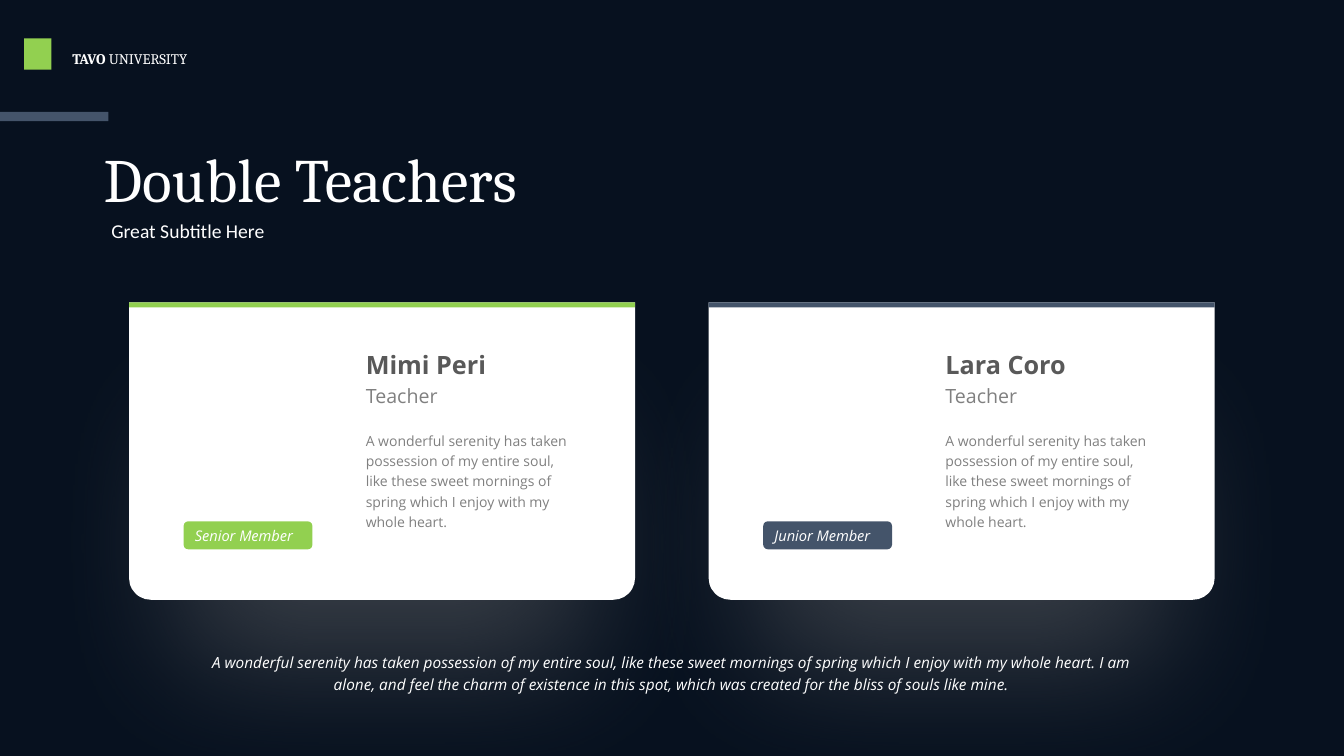
import dataclasses

import lxml.etree
import pptx
import pptx.dml.color
import pptx.enum.shapes
import pptx.enum.text
import pptx.oxml.ns
import pptx.util

Pt = pptx.util.Pt
RGBColor = pptx.dml.color.RGBColor
Shape = pptx.enum.shapes.MSO_SHAPE
Anchor = pptx.enum.text.MSO_ANCHOR
Align = pptx.enum.text.PP_ALIGN
AutoSize = pptx.enum.text.MSO_AUTO_SIZE
qn = pptx.oxml.ns.qn

NAVY = RGBColor(0x07, 0x11, 0x1F)
WHITE = RGBColor(0xFF, 0xFF, 0xFF)
GREEN = RGBColor(0x92, 0xD0, 0x50)
SLATE = RGBColor(0x44, 0x54, 0x6A)
DARK_GRAY = RGBColor(0x59, 0x59, 0x59)
GRAY = RGBColor(0x80, 0x80, 0x80)

SERIF, SANS, SUBTITLE_FONT = "Cambria", "Open Sans", "Calibri"
QUOTE = (
    "A wonderful serenity has taken possession of my entire soul, like these "
    "sweet mornings of spring which I enjoy with my whole heart."
)
QUOTE_END = (
    " I am alone, and feel the charm of existence in this spot, "
    "which was created for the bliss of souls like mine."
)


@dataclasses.dataclass(frozen=True)
class Area:
    """Place and size in points."""

    left: float
    top: float
    width: float
    height: float

    def lengths(self) -> tuple:
        """Return the four values as lengths."""
        return tuple(Pt(value) for value in dataclasses.astuple(self))


@dataclasses.dataclass(frozen=True)
class Teacher:
    """Contents and accent of one teacher card."""

    name: str
    role: str
    level: str
    accent: RGBColor


TEACHERS = [
    Teacher("Mimi Peri", "Teacher", "Senior Member", GREEN),
    Teacher("Lara Coro", "Teacher", "Junior Member", SLATE),
]
FIRST_CARD_LEFT, CARD_STEP, CARD_TOP = 92.2, 414, 216
CARD_WIDTH, CARD_HEIGHT = 361.4, 212.4


def add_span(para, text: str, *, size: float, color: RGBColor = WHITE,
             font: str = SANS, bold: bool = False, italic: bool = False) -> None:
    """Add one formatted run to a paragraph."""
    span = para.add_run()
    span.text = text
    span.font.size = Pt(size)
    span.font.color.rgb = color
    span.font.name = font
    span.font.bold = bold
    span.font.italic = italic


def add_text(page, area: Area, text: str, *, align=Align.LEFT,
             anchor=Anchor.TOP, spacing: float = 1.0, grow: bool = True, **style):
    """Add a wrapped text box and return its paragraph."""
    box = page.shapes.add_textbox(*area.lengths())
    frame = box.text_frame
    frame.word_wrap = True
    frame.auto_size = AutoSize.SHAPE_TO_FIT_TEXT if grow else AutoSize.NONE
    frame.vertical_anchor = anchor
    para = frame.paragraphs[0]
    para.alignment = align
    para.line_spacing = spacing
    add_span(para, text, **style)
    return para


def add_block(page, area: Area, color: RGBColor, kind=Shape.RECTANGLE):
    """Add a filled preset shape without outline or shadow."""
    block = page.shapes.add_shape(kind, *area.lengths())
    block.shadow.inherit = False
    block.fill.solid()
    block.fill.fore_color.rgb = color
    block.line.fill.background()
    return block


def add_glow(shape) -> None:
    """Give a shape a wide soft shadow that falls downwards."""
    effects = shape.element.spPr.find(qn("a:effectLst"))
    shadow = lxml.etree.SubElement(
        effects, qn("a:outerShdw"), blurRad=str(Pt(100)), dist=str(Pt(88)),
        dir="5400000", sx="80000", sy="80000", algn="t", rotWithShape="0")
    color = lxml.etree.SubElement(shadow, qn("a:srgbClr"), val=str(GRAY))
    lxml.etree.SubElement(color, qn("a:alpha"), val="40000")


def add_panel(page, left: float) -> None:
    """Add the white panel of a card, rounded at the bottom."""
    area = Area(left, CARD_TOP, CARD_WIDTH, CARD_HEIGHT)
    panel = add_block(page, area, WHITE, Shape.ROUND_2_SAME_RECTANGLE)
    panel.adjustments[0] = 0
    panel.adjustments[1] = 0.073
    add_glow(panel)


def add_badge(page, area: Area, text: str, color: RGBColor) -> None:
    """Add the rounded label for a teacher's level."""
    badge = add_block(page, area, color, Shape.ROUNDED_RECTANGLE)
    frame = badge.text_frame
    frame.margin_left = Pt(7.2)
    frame.margin_top = frame.margin_right = frame.margin_bottom = 0
    frame.vertical_anchor = Anchor.MIDDLE
    para = frame.paragraphs[0]
    para.alignment = Align.LEFT
    add_span(para, text, size=10.5, italic=True)


def add_details(page, left: float, teacher: Teacher) -> None:
    """Add the accent, texts and badge of a card."""
    text_left = left + 162
    add_block(page, Area(left, CARD_TOP, CARD_WIDTH, 3.6), teacher.accent)
    add_text(page, Area(text_left, 303.1, 164.9, 79.2), QUOTE,
             size=10, color=GRAY, spacing=1.2)
    add_text(page, Area(text_left, 246.2, 157.7, 28.8), teacher.name,
             size=18, color=DARK_GRAY, bold=True)
    add_text(page, Area(text_left, 270.7, 157.7, 24.5), teacher.role,
             size=14, color=GRAY)
    add_badge(page, Area(left + 39, 372.4, 92, 20), teacher.level, teacher.accent)


def add_header(page) -> None:
    """Add the emblem, school name, title and subtitle."""
    add_block(page, Area(17.3, 27.4, 19.4, 22.3), GREEN)
    school = add_text(page, Area(44.6, 31.7, 108.7, 20.2), "TAVO ",
                      size=10.5, font=SERIF, bold=True)
    add_span(school, "UNIVERSITY", size=10.5, font=SERIF)
    add_block(page, Area(0, 80, 77.5, 6.5), SLATE)
    add_text(page, Area(67, 86.4, 432.7, 81.4), "Double Teachers",
             size=44, font=SERIF, anchor=Anchor.MIDDLE, grow=False)
    add_text(page, Area(72.4, 152.6, 260.6, 24.5), "Great Subtitle Here",
             size=14, font=SUBTITLE_FONT)


def main() -> None:
    """Build and save the deck."""
    deck = pptx.Presentation()
    deck.slide_width, deck.slide_height = Pt(960), Pt(540)
    page = deck.slides.add_slide(deck.slide_layouts[6])
    page.background.fill.solid()
    page.background.fill.fore_color.rgb = NAVY

    card_lefts = [FIRST_CARD_LEFT + CARD_STEP * index
                  for index in range(len(TEACHERS))]
    for left in card_lefts:
        add_panel(page, left)
    add_header(page)
    for left, teacher in zip(card_lefts, TEACHERS):
        add_details(page, left, teacher)
    add_text(page, Area(139, 460, 681.8, 38.2), QUOTE + QUOTE_END,
             size=11, italic=True, align=Align.CENTER, spacing=1.2)
    deck.save("out.pptx")


main()
